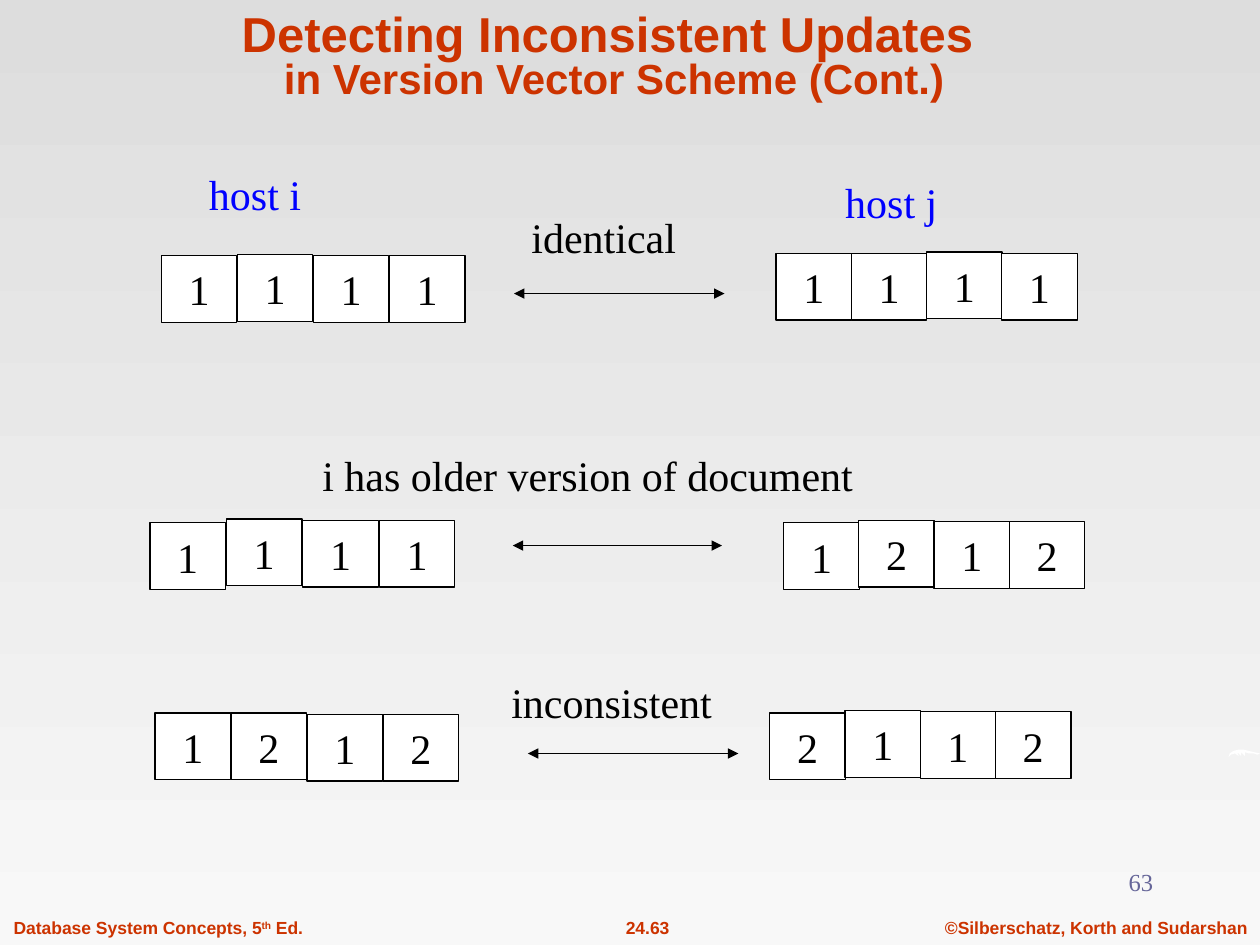
from dataclasses import dataclass

from lxml import etree
from pptx import Presentation
from pptx.dml.color import RGBColor
from pptx.enum.shapes import MSO_CONNECTOR, MSO_SHAPE
from pptx.enum.text import MSO_ANCHOR, PP_ALIGN
from pptx.oxml.ns import qn
from pptx.slide import Slide
from pptx.text.text import TextFrame
from pptx.util import Inches, Pt

RECTANGLE = MSO_SHAPE.RECTANGLE
STRAIGHT = MSO_CONNECTOR.STRAIGHT
TOP, MIDDLE, BOTTOM = MSO_ANCHOR.TOP, MSO_ANCHOR.MIDDLE, MSO_ANCHOR.BOTTOM
LEFT, CENTER, RIGHT = PP_ALIGN.LEFT, PP_ALIGN.CENTER, PP_ALIGN.RIGHT

BLACK = RGBColor(0x00, 0x00, 0x00)
WHITE = RGBColor(0xFF, 0xFF, 0xFF)
BLUE = RGBColor(0x00, 0x00, 0xFF)
RUST = RGBColor(0xCC, 0x33, 0x00)
SLATE = RGBColor(0x66, 0x66, 0x99)
GRAY_TOP = RGBColor(0xDD, 0xDD, 0xDD)
GRAY_BOTTOM = RGBColor(0xF8, 0xF8, 0xF8)

SANS, SERIF = "Arial", "Times New Roman"
CELL_WIDTH, CELL_HEIGHT = 0.6, 0.53


@dataclass
class Label:
    text: str
    left: float
    top: float
    width: float
    height: float = 0.5
    size: float = 24
    color: RGBColor = BLACK
    font: str = SERIF
    bold: bool = False
    align: PP_ALIGN = LEFT
    anchor: MSO_ANCHOR = TOP
    wrap: bool = True


@dataclass
class Vector:
    """A row of version counters; the cells sit at slightly uneven heights."""
    values: str
    first_left: float
    last_left: float
    tops: tuple[float, ...]


@dataclass
class Arrow:
    start: float
    end: float
    y: float


TITLE = Label("Detecting Inconsistent Updates \v", 0.56, 0.19, 8.63, 0.67, 28,
              RUST, SANS, True, CENTER, BOTTOM)
EDITION = Label("Database System Concepts, 5", 0.01, 7.23, 2.6, 0.27, 10,
                RUST, SANS, True)
LABELS = [
    Label("©Silberschatz, Korth and Sudarshan", 7.4, 7.23, 2.6, 0.27, 10,
          RUST, SANS, True, CENTER, TOP, False),
    Label("24.63", 4.61, 7.23, 1.06, 0.27, 10, RUST, SANS, True, CENTER, TOP, False),
    Label("host i", 1.56, 1.29, 1.5, color=BLUE),
    Label("host j", 6.61, 1.35, 1.5, color=BLUE),
    Label("identical", 4.12, 1.63, 1.43),
    Label("i has older version of document", 2.46, 3.52, 4.82),
    Label("inconsistent", 3.96, 5.32, 1.9),
    Label("63", 7.17, 6.83, 2.08, size=14, color=SLATE, align=RIGHT),
]
VECTORS = [
    Vector("1111", 1.28, 3.09, (2.03, 2.02, 2.03, 2.03)),
    Vector("1111", 6.16, 7.95, (2.01, 2.01, 2.0, 2.01)),
    Vector("1111", 1.19, 3.01, (4.15, 4.12, 4.13, 4.13)),
    Vector("1212", 6.22, 8.01, (4.15, 4.13, 4.14, 4.14)),
    Vector("1212", 1.23, 3.04, (5.66, 5.66, 5.67, 5.67)),
    Vector("2112", 6.11, 7.9, (5.66, 5.64, 5.65, 5.65)),
]
ARROWS = [Arrow(4.08, 5.75, 2.33), Arrow(4.07, 5.73, 4.33), Arrow(4.19, 5.86, 5.98)]
SWOOSH = [
    (9.75, 6.01), (9.76, 5.98), (9.79, 5.96), (9.83, 5.95), (9.87, 5.95),
    (9.91, 5.96), (9.95, 5.97), (10, 5.98), (9.98, 5.99), (9.95, 5.98),
    (9.91, 5.98), (9.88, 5.97), (9.88, 6), (9.85, 5.97), (9.85, 6),
    (9.82, 5.97), (9.83, 6), (9.8, 5.98), (9.77, 5.99),
]


def set_insets(frame: TextFrame) -> None:
    frame.margin_left = frame.margin_right = Inches(0.1)
    frame.margin_top = frame.margin_bottom = Inches(0.05)


def add_label(page: Slide, label: Label) -> TextFrame:
    box = page.shapes.add_textbox(Inches(label.left), Inches(label.top),
                                  Inches(label.width), Inches(label.height))
    frame = box.text_frame
    set_insets(frame)
    frame.word_wrap = label.wrap
    frame.vertical_anchor = label.anchor
    para = frame.paragraphs[0]
    para.text = label.text
    para.alignment = label.align
    para.font.name = label.font
    para.font.size = Pt(label.size)
    para.font.bold = label.bold
    para.font.color.rgb = label.color
    return frame


def add_cell(page: Slide, value: str, left: float, top: float) -> None:
    cell = page.shapes.add_shape(RECTANGLE, Inches(left), Inches(top),
                                 Inches(CELL_WIDTH), Inches(CELL_HEIGHT))
    cell.shadow.inherit = False
    cell.fill.solid()
    cell.fill.fore_color.rgb = WHITE
    cell.line.color.rgb = BLACK
    cell.line.width = Pt(0.75)
    frame = cell.text_frame
    set_insets(frame)
    frame.word_wrap = False
    frame.vertical_anchor = MIDDLE
    para = frame.paragraphs[0]
    para.text = value
    para.alignment = CENTER
    para.font.name = SERIF
    para.font.size = Pt(24)
    para.font.color.rgb = BLACK


def add_vector(page: Slide, vector: Vector) -> None:
    pitch = (vector.last_left - vector.first_left) / (len(vector.values) - 1)
    for column, (value, top) in enumerate(zip(vector.values, vector.tops)):
        add_cell(page, value, vector.first_left + column * pitch, top)


def add_arrow(page: Slide, arrow: Arrow) -> None:
    line = page.shapes.add_connector(STRAIGHT, Inches(arrow.start), Inches(arrow.y),
                                     Inches(arrow.end), Inches(arrow.y))
    line.line.color.rgb = BLACK
    line.line.width = Pt(0.75)
    properties = line._element.spPr
    outline = properties.find(qn("a:ln"))
    for end in ("a:headEnd", "a:tailEnd"):
        etree.SubElement(outline, qn(end), type="triangle")
    etree.SubElement(properties, qn("a:effectLst"))


def add_swoosh(page: Slide) -> None:
    points = [(Inches(x), Inches(y)) for x, y in SWOOSH]
    builder = page.shapes.build_freeform(*points[0])
    builder.add_line_segments(points[1:], close=True)
    swoosh = builder.convert_to_shape()
    swoosh.shadow.inherit = False
    swoosh.fill.solid()
    swoosh.fill.fore_color.rgb = WHITE
    swoosh.line.fill.background()


def main() -> None:
    deck = Presentation()
    deck.slide_width, deck.slide_height = Inches(10), Inches(7.5)
    page = deck.slides.add_slide(deck.slide_layouts[6])

    # Background, light at the bottom
    fill = page.background.fill
    fill.gradient()
    fill.gradient_angle = 270
    for stop, color in zip(fill.gradient_stops, (GRAY_TOP, GRAY_BOTTOM)):
        stop.color.rgb = color
    add_swoosh(page)

    # Title with a smaller second line
    para = add_label(page, TITLE).paragraphs[0]
    para.line_spacing = 0.8
    span = para.add_run()
    span.text = "in Version Vector Scheme (Cont.)"
    span.font.size = Pt(24)

    # Edition footer with a raised ordinal
    para = add_label(page, EDITION).paragraphs[0]
    ordinal = para.add_run()
    ordinal.text = "th"
    ordinal.font._element.set("baseline", "30000")
    para.add_run().text = " Ed."

    # Version vectors, arrows and captions
    for vector in VECTORS:
        add_vector(page, vector)
    for arrow in ARROWS:
        add_arrow(page, arrow)
    for label in LABELS:
        add_label(page, label)

    deck.save("out.pptx")


if __name__ == "__main__":
    main()
